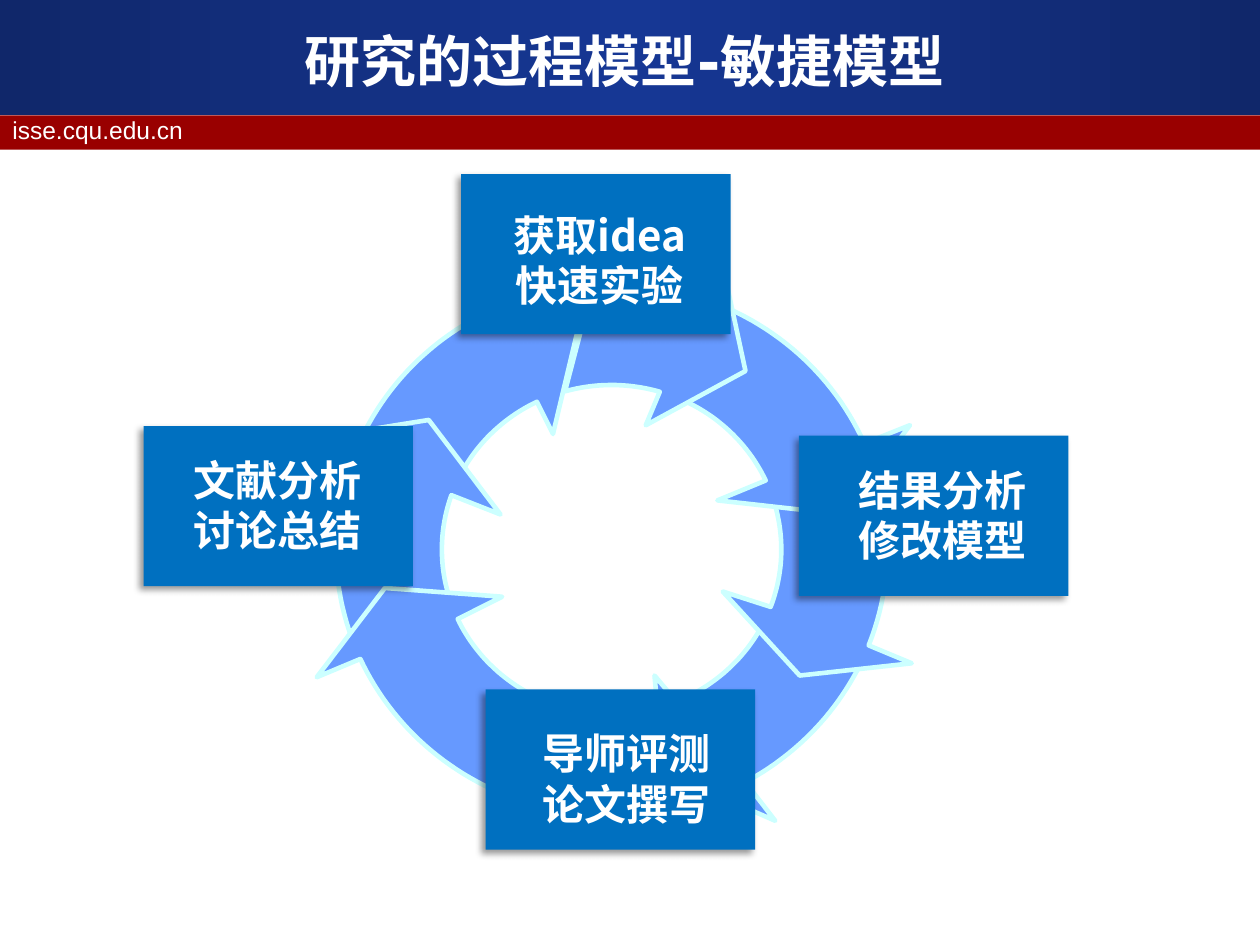
from copy import deepcopy
from math import atan2, cos, sin, remainder, tau

from pptx import Presentation
from pptx.dml.color import RGBColor
from pptx.enum.shapes import MSO_SHAPE as Shape
from pptx.enum.text import MSO_ANCHOR as Anchor, PP_ALIGN as Align
from pptx.oxml import parse_xml
from pptx.oxml.ns import nsdecls, qn
from pptx.util import Pt

color = RGBColor.from_string
CJK = "Noto Sans CJK SC"

deck = Presentation()
deck.slide_width, deck.slide_height = Pt(720), Pt(540)
slide = deck.slides.add_slide(deck.slide_layouts[6])
shapes = slide.shapes


def write(area, lines, size, face, bold, align, inset=(0, 0)):
    box = shapes.add_textbox(*[Pt(v) for v in area])
    frame = box.text_frame
    side, top = [Pt(v) for v in inset]
    form = {"word_wrap": True, "vertical_anchor": Anchor.MIDDLE,
            "margin_left": side, "margin_right": side,
            "margin_top": top, "margin_bottom": top}
    for key, value in form.items():
        setattr(frame, key, value)
    frame.text = "\n".join(lines)
    for para in frame.paragraphs:
        para.alignment = align
        font = para.runs[0].font
        for key, value in {"size": Pt(size), "name": face, "bold": bold}.items():
            setattr(font, key, value)
        font.color.rgb = color("FFFFFF")
        # East Asian face for the Chinese letters
        font._element.find(qn("a:latin")).addnext(
            parse_xml(f'<a:ea {nsdecls("a")} typeface="{CJK}"/>'))


def arc(start, end, radii, steps=24):
    """Points along the ring's ellipse between two points."""
    (mid_x, mid_y), (rad_x, rad_y) = (349.5, 314), radii
    first, last = [atan2((y - mid_y) / rad_y, (x - mid_x) / rad_x)
                   for x, y in (start, end)]
    turn = remainder(last - first, tau) / steps
    return [(mid_x + rad_x * cos(first + turn * i),
             mid_y + rad_y * sin(first + turn * i)) for i in range(steps + 1)]


# Header bars
head = shapes.add_shape(Shape.RECTANGLE, Pt(0), Pt(0), Pt(720), Pt(65.5))
band = shapes.add_shape(Shape.RECTANGLE, Pt(0), Pt(66), Pt(720), Pt(19.5))
for bar in (head, band):
    bar.shadow.inherit = False
    bar.line.fill.background()
band.fill.solid()
band.fill.fore_color.rgb = color("990000")

# Three-stop gradient, dark at both ends
head.fill.gradient()
head.fill.gradient_angle = 0
stops = head._element.spPr.find(qn("a:gradFill")).find(qn("a:gsLst"))
stops.insert(1, deepcopy(stops[0]))
for stop, place, tone in zip(head.fill.gradient_stops, (0, 0.5, 1),
                             ("10276A", "163794", "10276A")):
    stop.position = place
    stop.color.rgb = color(tone)

write((0, 62, 692, 24.5), ["isse.cqu.edu.cn"], 14, "Arial", False,
      Align.LEFT, (7.2, 3.6))
write((24, 12, 666, 45), ["研究的过程模型-敏捷模型"], 32, "DejaVu Sans", True,
      Align.CENTER, (7.2, 3.6))

# Ring of arrows: outer arc ends, head corners, inner arc ends, tail notch
OUTER, INNER = (157.5, 152), (97, 94)
arrows = [
    ([(205, 249), (285, 175)], [(275, 154), (331, 185), (316, 248)],
     [(307, 230), (261, 274)], []),
    ([(204, 374), (202, 261)], [(176, 251), (245, 240), (286, 294)],
     [(258, 283), (256, 341)], []),
    ([(281, 450), (205, 377)], [(181, 387), (220, 336), (287, 341)],
     [(261, 354), (307, 398)], []),
    ([(492, 381), (426, 447)], [(443, 469), (379, 441), (374, 386)],
     [(387, 402), (436, 356)], []),
    ([(495, 253), (497, 369)], [(521, 379), (457, 386), (413, 338)],
     [(441, 347), (443, 286)], []),
    ([(418, 176), (495, 253)], [(520, 243), (482, 294), (410, 286)],
     [(439, 274), (392, 230)], []),
    ([(304, 169), (402, 171)], [(412, 147), (426, 212), (369, 243)],
     [(377, 224), (323, 224)], [(333, 185)]),
]
for outer, tip, inner, notch in arrows:
    dots = arc(*outer, OUTER) + tip + arc(*inner, INNER) + notch
    dots = [(Pt(x), Pt(y)) for x, y in dots]
    path = shapes.build_freeform(*dots[0])
    path.add_line_segments(dots[1:], close=True)
    arrow = path.convert_to_shape()
    arrow.shadow.inherit = False
    arrow.fill.solid()
    arrow.fill.fore_color.rgb = color("6699FF")
    arrow.line.color.rgb = color("CCFFFF")
    arrow.line.width = Pt(2.63)

# Step cards: corner, text area, lines
cards = [
    ((82, 243.5), (104.5, 259, 108, 58.5), ["文献分析", "讨论总结"]),
    ((456.5, 249), (445, 265, 187, 58.5), ["结果分析", "修改模型"]),
    ((277.5, 394), (309.5, 415.5, 97, 58.5), ["导师评测", "论文撰写"]),
    ((263.5, 99.5), (269, 119, 147.5, 58.5), ["获取idea", "快速实验"]),
]
for (left, top), area, lines in cards:
    card = shapes.add_shape(Shape.RECTANGLE, Pt(left), Pt(top), Pt(154), Pt(91.5))
    card.fill.solid()
    card.fill.fore_color.rgb = color("0070C0")
    card.line.fill.background()
    card.shadow.inherit = False
    card._element.spPr.find(qn("a:effectLst")).append(parse_xml(
        f'<a:outerShdw {nsdecls("a")} blurRad="{Pt(4)}" dist="{Pt(3)}" '
        'dir="8100000" algn="tr" rotWithShape="0"><a:srgbClr val="000000">'
        '<a:alpha val="40000"/></a:srgbClr></a:outerShdw>'))
    write(area, lines, 24, CJK, True, Align.CENTER)

deck.save("out.pptx")
